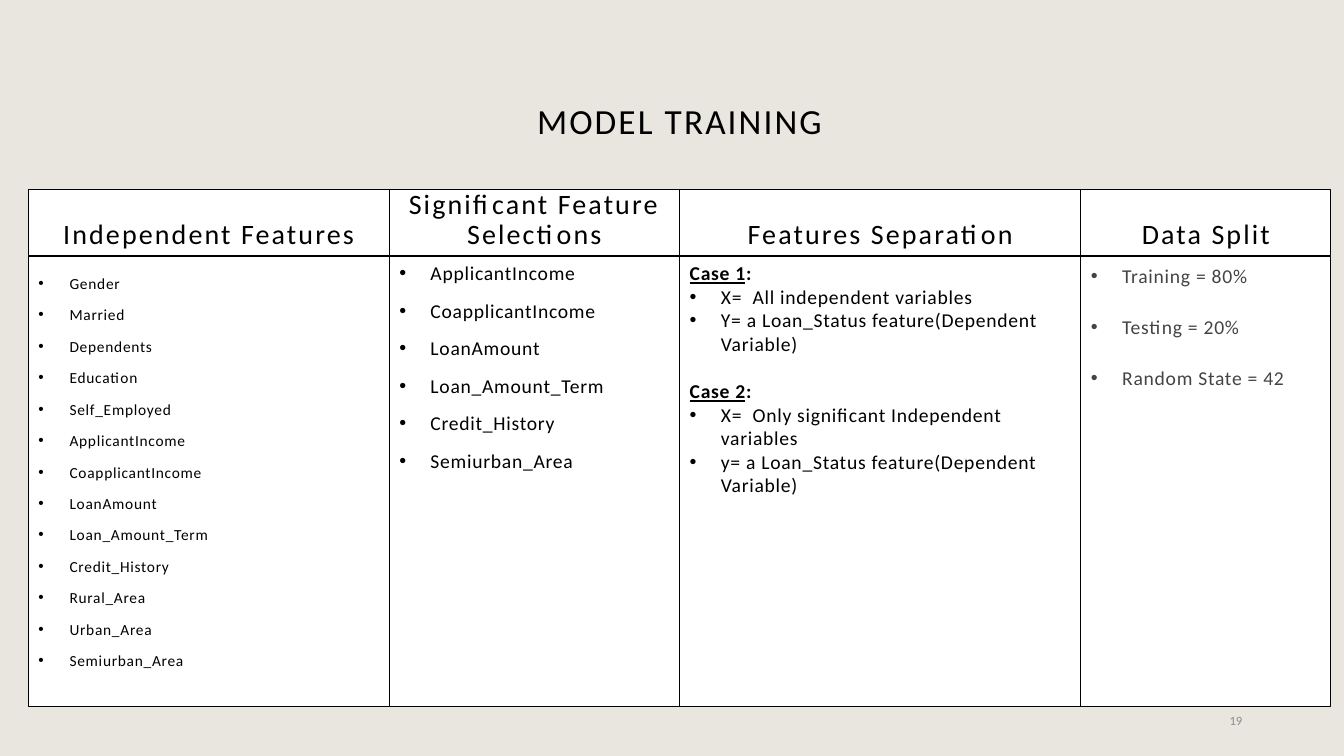
from lxml import etree
from pptx import Presentation
from pptx.dml.color import RGBColor
from pptx.enum.shapes import MSO_SHAPE
from pptx.enum.text import MSO_ANCHOR, MSO_AUTO_SIZE, PP_ALIGN
from pptx.oxml.ns import qn
from pptx.util import Inches, Pt

LEFT, CENTER, RIGHT = PP_ALIGN.LEFT, PP_ALIGN.CENTER, PP_ALIGN.RIGHT
TOP, MIDDLE, BOTTOM = MSO_ANCHOR.TOP, MSO_ANCHOR.MIDDLE, MSO_ANCHOR.BOTTOM
RECTANGLE = MSO_SHAPE.RECTANGLE
NO_AUTOFIT = MSO_AUTO_SIZE.NONE

FONT = "Calibri"
COLORS = {
    "background": "E9E6DF",
    "panel": "FFFFFF",
    "text": "000000",
    "muted": "444444",
    "number": "8C8C8C",
}

# Column edges and row edges of the four panels
EDGES = [0.28, 3.86, 6.74, 10.72, 13.2]
HEADING_TOP, LIST_TOP, LIST_BOTTOM = 1.88, 2.54, 7.01
INDENT = 0.31

INDEPENDENT = [
    "Gender", "Married", "Dependents", "Education", "Self_Employed",
    "ApplicantIncome", "CoapplicantIncome", "LoanAmount", "Loan_Amount_Term",
    "Credit_History", "Rural_Area", "Urban_Area", "Semiurban_Area",
]
SIGNIFICANT = [
    "ApplicantIncome", "CoapplicantIncome", "LoanAmount",
    "Loan_Amount_Term", "Credit_History", "Semiurban_Area",
]
CASES = {
    "Case 1": ["X=  All independent variables",
               "Y= a Loan_Status feature(Dependent Variable)"],
    "Case 2": ["X=  Only significant Independent variables",
               "y= a Loan_Status feature(Dependent Variable)"],
}
SPLIT = ["Training = 80%", "Testing = 20%", "Random State = 42"]


def rgb(name):
    return RGBColor.from_string(COLORS[name])


def add_run(paragraph, text, size=14, color="text", spacing=0.5,
            bold=False, underline=False):
    run = paragraph.add_run()
    run.text = text
    font = run.font
    font.name, font.size = FONT, Pt(size)
    font.bold, font.underline = bold, underline
    font.color.rgb = rgb(color)
    run._r.get_or_add_rPr().set("spc", str(round(spacing * 100)))


def set_bullet(paragraph, bullet):
    properties = paragraph._p.get_or_add_pPr()
    indent = Inches(INDENT) if bullet else 0
    properties.set("marL", str(indent))
    properties.set("indent", str(-indent))
    if bullet:
        etree.SubElement(properties, qn("a:buFont")).set("typeface", "Arial")
        etree.SubElement(properties, qn("a:buChar")).set("char", "•")
    else:
        etree.SubElement(properties, qn("a:buNone"))


def add_text(frame, text, align=LEFT, bullet=False, line_spacing=1.0,
             before=0, **run_format):
    """Fill the empty first paragraph, or append a new one."""
    first = frame.paragraphs[0]
    is_first = not first.runs
    paragraph = first if is_first else frame.add_paragraph()
    set_bullet(paragraph, bullet)
    paragraph.alignment = align
    paragraph.line_spacing = line_spacing
    paragraph.space_before = Pt(0 if is_first else before)
    paragraph.space_after = Pt(0)
    add_run(paragraph, text, **run_format)
    return paragraph


def place(shape, left, top, width, height):
    shape.left, shape.top = Inches(left), Inches(top)
    shape.width, shape.height = Inches(width), Inches(height)


def prepare_frame(shape, anchor):
    frame = shape.text_frame
    frame.word_wrap = True
    frame.auto_size = NO_AUTOFIT
    frame.vertical_anchor = anchor
    frame.margin_left = frame.margin_right = Inches(0.1)
    frame.margin_top = frame.margin_bottom = Inches(0.05)
    return frame


def style_panel(shape):
    shape.fill.solid()
    shape.fill.fore_color.rgb = rgb("panel")
    shape.line.color.rgb = rgb("text")
    shape.line.width = Pt(0.75)


def add_heading(slide, column, text):
    left, right = EDGES[column:column + 2]
    shape = slide.shapes.add_shape(
        RECTANGLE, Inches(left), Inches(HEADING_TOP),
        Inches(right - left), Inches(LIST_TOP - HEADING_TOP))
    shape.shadow.inherit = False
    style_panel(shape)
    add_text(prepare_frame(shape, BOTTOM), text, align=CENTER,
             line_spacing=0.9, size=20, spacing=1.5)


def list_frame(slide, column):
    """Turn a body placeholder into the list panel of a column."""
    left, right = EDGES[column:column + 2]
    shape = slide.placeholders[column + 1]
    place(shape, left, LIST_TOP, right - left, LIST_BOTTOM - LIST_TOP)
    style_panel(shape)
    return prepare_frame(shape, TOP)


def add_bullets(frame, items, **text_format):
    for item in items:
        add_text(frame, item, bullet=True, **text_format)


def add_cases(frame):
    for name, items in CASES.items():
        paragraph = add_text(frame, name, before=17, bold=True, underline=True)
        add_run(paragraph, ":", bold=True)
        add_bullets(frame, items)


def main():
    presentation = Presentation()
    presentation.slide_width = Inches(13.33)
    presentation.slide_height = Inches(7.5)
    # The comparison layout has a title and four body placeholders
    slide = presentation.slides.add_slide(presentation.slide_layouts[4])
    slide.background.fill.solid()
    slide.background.fill.fore_color.rgb = rgb("background")

    # Title
    title = slide.shapes.title
    place(title, 0.28, 0.99, 12.92, 0.46)
    add_text(prepare_frame(title, MIDDLE), "MODEL TRAINING", align=CENTER,
             line_spacing=0.9, size=25.2, spacing=1.5)

    # Lists
    add_bullets(list_frame(slide, 0), INDEPENDENT, line_spacing=1.7, size=11)
    add_bullets(list_frame(slide, 1), SIGNIFICANT, before=10)
    add_cases(list_frame(slide, 2))
    add_bullets(list_frame(slide, 3), SPLIT, line_spacing=1.1, before=18,
                color="muted")

    # Headings
    headings = ["Independent Features", "Significant Feature Selections",
                "Features Separation", "Data Split"]
    for column, heading in enumerate(headings):
        add_heading(slide, column, heading)

    # Slide number
    number = slide.shapes.add_textbox(
        Inches(9.42), Inches(6.95), Inches(3), Inches(0.4))
    add_text(prepare_frame(number, MIDDLE), "19", align=RIGHT,
             size=9, color="number", spacing=0)

    presentation.save("out.pptx")


if __name__ == "__main__":
    main()
